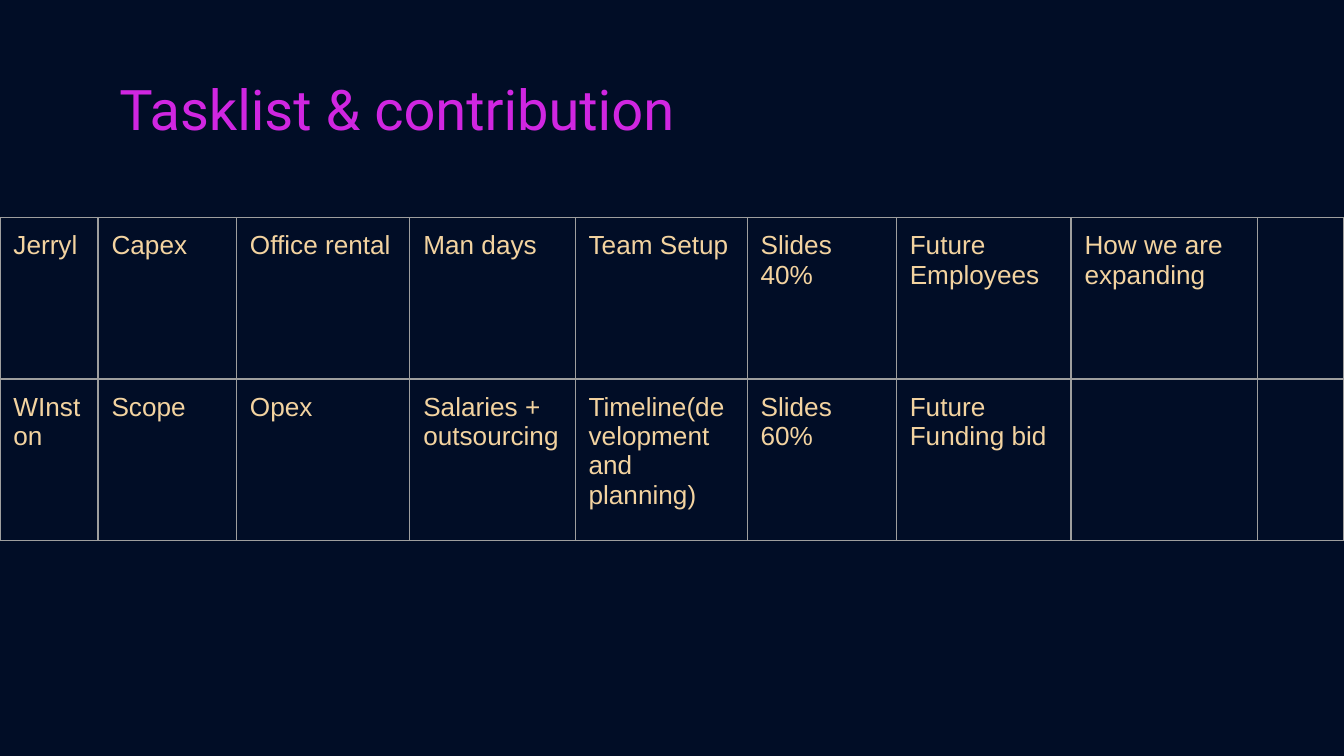
from dataclasses import dataclass

from lxml import etree
from pptx import Presentation
from pptx.dml.color import RGBColor
from pptx.enum.text import MSO_ANCHOR
from pptx.oxml.ns import qn
from pptx.util import Inches, Pt

MIDDLE = MSO_ANCHOR.MIDDLE
TOP = MSO_ANCHOR.TOP
BLANK_LAYOUT = 6


@dataclass(frozen=True)
class Theme:
    background: str = "010D26"
    title_color: str = "D026E1"
    text_color: str = "F3D3A0"
    border_color: str = "9E9E9E"
    title_font: str = "Roboto"
    body_font: str = "Arial"
    title_size: int = 30
    body_size: int = 14
    border_width: float = 0.75
    inset: float = 0.1


class SlideBuilder:
    def __init__(self, slide, theme):
        self.slide = slide
        self.theme = theme
        fill = slide.background.fill
        fill.solid()
        fill.fore_color.rgb = RGBColor.from_string(theme.background)

    def style_text(self, frame, font_name, size, color):
        for para in frame.paragraphs:
            for span in para.runs:
                span.font.name = font_name
                span.font.size = Pt(size)
                span.font.bold = False
                span.font.color.rgb = RGBColor.from_string(color)

    def set_insets(self, holder):
        inset = Inches(self.theme.inset)
        holder.margin_left = holder.margin_right = inset
        holder.margin_top = holder.margin_bottom = inset

    def add_title(self, text, left, top, width, height):
        box = self.slide.shapes.add_textbox(
            Inches(left), Inches(top), Inches(width), Inches(height))
        frame = box.text_frame
        frame.word_wrap = True
        frame.vertical_anchor = MIDDLE
        self.set_insets(frame)
        frame.text = text
        self.style_text(frame, self.theme.title_font,
                        self.theme.title_size, self.theme.title_color)

    def add_borders(self, cell):
        properties = cell._tc.get_or_add_tcPr()
        # Border lines must come before the cell fill
        for index, side in enumerate(("lnL", "lnR", "lnT", "lnB")):
            line = etree.Element(qn(f"a:{side}"), w=str(Pt(self.theme.border_width)))
            fill = etree.SubElement(line, qn("a:solidFill"))
            etree.SubElement(fill, qn("a:srgbClr"), val=self.theme.border_color)
            properties.insert(index, line)

    def add_table(self, rows, left, top, column_widths, row_height):
        table = self.slide.shapes.add_table(
            len(rows), len(column_widths), Inches(left), Inches(top),
            Inches(sum(column_widths)), Inches(row_height * len(rows))).table
        table.first_row = False
        table.horz_banding = False
        for column, width in zip(table.columns, column_widths):
            column.width = Inches(width)
        for row, texts in zip(table.rows, rows):
            row.height = Inches(row_height)
            for cell, text in zip(row.cells, texts):
                cell.text_frame.text = text
                cell.vertical_anchor = TOP
                self.set_insets(cell)
                self.style_text(cell.text_frame, self.theme.body_font,
                                self.theme.body_size, self.theme.text_color)
                cell.fill.background()
                self.add_borders(cell)


def main():
    deck = Presentation()
    # Widescreen page, 16 to 9
    deck.slide_width = Inches(10)
    deck.slide_height = Inches(10) * 9 // 16
    page = SlideBuilder(
        deck.slides.add_slide(deck.slide_layouts[BLANK_LAYOUT]), Theme())

    # Title
    page.add_title("Tasklist & contribution", 0.79, 0.49, 8.43, 0.63)

    # Tasks of each team member
    tasks = [
        ["Jerryl", "Capex", "Office rental", "Man days", "Team Setup",
         "Slides 40%", "Future Employees", "How we are expanding", ""],
        ["WInston", "Scope", "Opex", "Salaries + outsourcing",
         "Timeline(development and planning)", "Slides 60%",
         "Future Funding bid", "", ""],
    ]
    column_widths = [0.73, 1.03, 1.29, 1.23, 1.28, 1.11, 1.3, 1.39, 0.64]
    page.add_table(tasks, 0, 1.62, column_widths, 1.2)

    deck.save("out.pptx")


if __name__ == "__main__":
    main()
